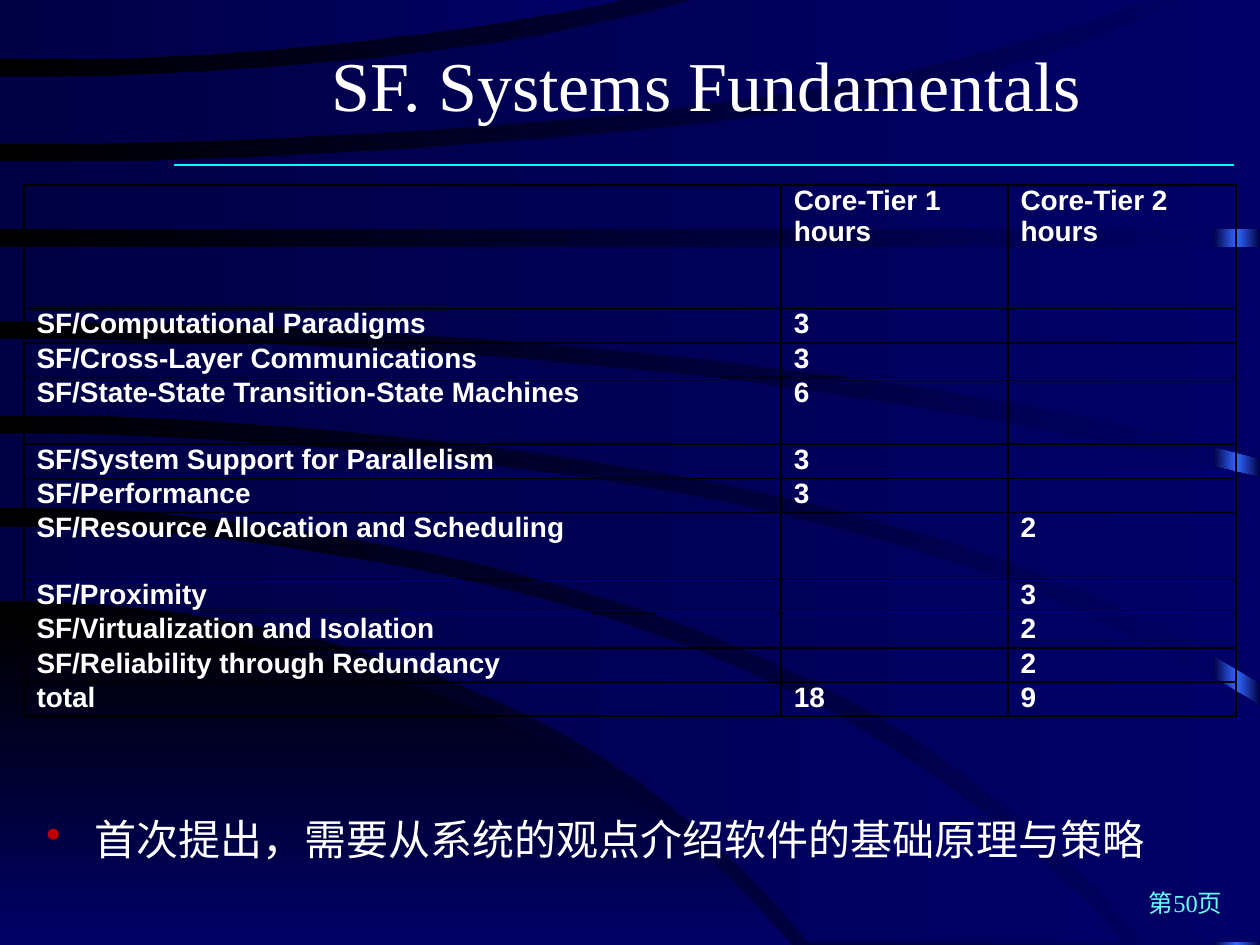
from copy import deepcopy
from dataclasses import dataclass
from math import prod

from lxml.etree import SubElement
from pptx import Presentation
from pptx.dml.color import RGBColor
from pptx.enum.shapes import MSO_CONNECTOR as Connector, MSO_SHAPE as Shape
from pptx.enum.text import MSO_ANCHOR as Anchor, PP_ALIGN as Align
from pptx.oxml.ns import qn
from pptx.util import Inches, Pt


@dataclass(frozen=True)
class Theme:
    black: str = "000000"
    navy: str = "000044"
    blue: str = "000066"
    glow: str = "3366FF"
    rule: str = "00FFFF"
    text: str = "FFFFFF"
    bullet: str = "C00000"
    number: str = "66FFFF"
    title_size: int = 40
    body_size: int = 24
    table_size: int = 16
    number_size: int = 14
    serif: str = "Times New Roman"
    sans: str = "Arial"
    chinese: str = "Noto Sans CJK SC"


THEME = Theme()
CURVE_STEPS = 24
COLUMN_WIDTHS = [6.01, 1.8, 1.81]
ROW_HEIGHT, TALL_ROW, HEADER_ROW = 0.27, 0.53, 0.98
TALL_UNITS = {"SF/State-State Transition-State Machines",
              "SF/Resource Allocation and Scheduling"}
HOURS = [
    ("", "Core-Tier 1\nhours", "Core-Tier 2\nhours"),
    ("SF/Computational Paradigms", "3", ""),
    ("SF/Cross-Layer Communications", "3", ""),
    ("SF/State-State Transition-State Machines", "6", ""),
    ("SF/System Support for Parallelism", "3", ""),
    ("SF/Performance", "3", ""),
    ("SF/Resource Allocation and Scheduling", "", "2"),
    ("SF/Proximity", "", "3"),
    ("SF/Virtualization and Isolation", "", "2"),
    ("SF/Reliability through Redundancy", "", "2"),
    ("total", "18", "9")]


def curve(end, *heights):
    """Smooth edge from the left side to x = end through equally spaced heights."""
    last = len(heights) - 1
    points = []
    for step in range(CURVE_STEPS + 1):
        place = last * step / CURVE_STEPS
        y = sum(height * prod((place - other) / (index - other)
                              for other in range(last + 1) if other != index)
                for index, height in enumerate(heights))
        points.append((end * step / CURVE_STEPS, y))
    return points


# Background swooshes, in hundredths of an inch.
CORNER = curve(628, 491, 503, 540, 611, 750) + [(0, 750)]
BANDS = [
    curve(893, 418, 434, 480, 571, 748) + curve(642, 477, 489, 527, 603, 748)[::-1],
    curve(1000, 344, 355, 385, 444, 560) + [(1000, 748)]
    + curve(909, 403, 419, 467, 560, 748)[::-1],
    curve(1000, 269, 275, 293, 327, 379) + curve(1000, 330, 340, 371, 429, 542)[::-1],
    [(0, 196), (1000, 196)] + curve(1000, 255, 261, 279, 311, 364)[::-1],
    curve(943, 128, 123, 107, 75, -2) + [(1000, -2), (1000, 182), (0, 182)],
    curve(556, 61, 58, 48, 30, -2) + curve(917, 114, 109, 94, 63, -2)[::-1],
    curve(501, 47, 45, 36, 21, -2) + [(0, -2)]]


def set_gradient(fill, colors, angle=0):
    """Spread the colours evenly; the angle runs counter-clockwise."""
    fill.gradient()
    fill.gradient_angle = angle
    last = fill.gradient_stops[-1]._gs
    for _ in colors[2:]:
        last.addprevious(deepcopy(last))
    for index, (stop, color) in enumerate(zip(fill.gradient_stops, colors)):
        stop.position = index / (len(colors) - 1)
        stop.color.rgb = RGBColor.from_string(color)


class SlideBuilder:
    def __init__(self, slide, theme):
        self.slide, self.shapes, self.theme = slide, slide.shapes, theme

    def finish(self, shape, colors, angle=0):
        shape.shadow.inherit = False
        shape.line.fill.background()
        set_gradient(shape.fill, colors, angle)

    def rectangle(self, box, colors):
        shape = self.shapes.add_shape(Shape.RECTANGLE, *map(Inches, box))
        self.finish(shape, colors)

    def swoosh(self, points, colors, angle=0):
        builder = self.shapes.build_freeform(*points[0], scale=Inches(0.01))
        builder.add_line_segments(points[1:], close=True)
        self.finish(builder.convert_to_shape(), colors, angle)

    def line(self, start, end, color, width):
        line = self.shapes.add_connector(
            Connector.STRAIGHT, *map(Inches, (*start, *end)))
        line.line.color.rgb = RGBColor.from_string(color)
        line.line.width = Pt(width)
        SubElement(line._element.spPr, qn("a:effectLst"))

    def run(self, paragraph, text, size, font, color, bold=False):
        run = paragraph.add_run()
        run.text = text
        run.font.size, run.font.name, run.font.bold = Pt(size), font, bold
        run.font.color.rgb = RGBColor.from_string(color)
        latin = run.font._element.find(qn("a:latin"))
        east_asian = deepcopy(latin)
        east_asian.tag = qn("a:ea")
        east_asian.set("typeface", self.theme.chinese)
        latin.addnext(east_asian)

    def text(self, box, text, size, font, color, align=Align.LEFT,
             anchor=Anchor.TOP, bullet=None):
        frame = self.shapes.add_textbox(*map(Inches, box)).text_frame
        frame.word_wrap, frame.vertical_anchor = True, anchor
        paragraph = frame.paragraphs[0]
        paragraph.alignment = align
        if bullet:
            properties = paragraph._p.get_or_add_pPr()
            properties.set("marL", str(Inches(0.38)))
            properties.set("indent", str(-Inches(0.38)))
            bullet_color = SubElement(properties, qn("a:buClr"))
            SubElement(bullet_color, qn("a:srgbClr"), val=bullet)
            SubElement(properties, qn("a:buChar"), char="•")
        self.run(paragraph, text, size, font, color)

    def cell(self, cell, text):
        theme = self.theme
        cell.margin_left = cell.margin_right = Inches(0.1)
        cell.margin_top = cell.margin_bottom = 0
        properties = cell._tc.get_or_add_tcPr()
        for side in ("lnL", "lnR", "lnT", "lnB"):
            border = SubElement(properties, qn(f"a:{side}"), w=str(Pt(1)))
            solid = SubElement(border, qn("a:solidFill"))
            SubElement(solid, qn("a:srgbClr"), val=theme.black)
        cell.fill.background()
        frame = cell.text_frame
        for index, words in enumerate(text.split("\n")):
            paragraph = frame.add_paragraph() if index else frame.paragraphs[0]
            if words:
                self.run(paragraph, words, theme.table_size, theme.sans, theme.text, True)
            else:
                SubElement(paragraph._p, qn("a:endParaRPr"),
                           sz=str(theme.table_size * 100))

    def table(self, left, top, widths, heights, rows):
        box = (left, top, sum(widths), sum(heights))
        table = self.shapes.add_table(len(rows), len(widths), *map(Inches, box)).table
        table.first_row = table.horz_banding = False
        for column, width in zip(table.columns, widths):
            column.width = Inches(width)
        for row, height, texts in zip(table.rows, heights, rows):
            row.height = Inches(height)
            for cell, text in zip(row.cells, texts):
                self.cell(cell, text)


def main():
    presentation = Presentation()
    presentation.slide_width, presentation.slide_height = Inches(10), Inches(7.5)
    slide = presentation.slides.add_slide(presentation.slide_layouts[6])
    theme, builder = THEME, SlideBuilder(slide, THEME)
    set_gradient(slide.background.fill, (theme.black, theme.blue))
    builder.rectangle((9.63, 0, 0.37, 7.5), (theme.navy, theme.glow, theme.navy))
    builder.swoosh(CORNER, (theme.black, theme.blue), angle=270)
    for band in BANDS:
        builder.swoosh(band, (theme.navy, theme.blue))
    builder.line((1.38, 1.31), (9.79, 1.31), theme.rule, 0.75)
    heights = [HEADER_ROW] + [TALL_ROW if unit in TALL_UNITS else ROW_HEIGHT
                              for unit, *_ in HOURS[1:]]
    builder.table(0.19, 1.47, COLUMN_WIDTHS, heights, HOURS)
    builder.text((1.39, 0.19, 8.43, 0.94), "SF. Systems Fundamentals", theme.title_size,
                 theme.serif, theme.text, Align.CENTER, Anchor.MIDDLE)
    builder.text((0.27, 6.41, 9.38, 1.09),
                 "首次提出，需要从系统的观点介绍软件的基础原理与策略",
                 theme.body_size, theme.chinese, theme.text, bullet=theme.bullet)
    builder.text((7.72, 7, 2.08, 0.36), "第50页", theme.number_size,
                 theme.serif, theme.number, Align.RIGHT)
    presentation.save("out.pptx")


if __name__ == "__main__":
    main()
